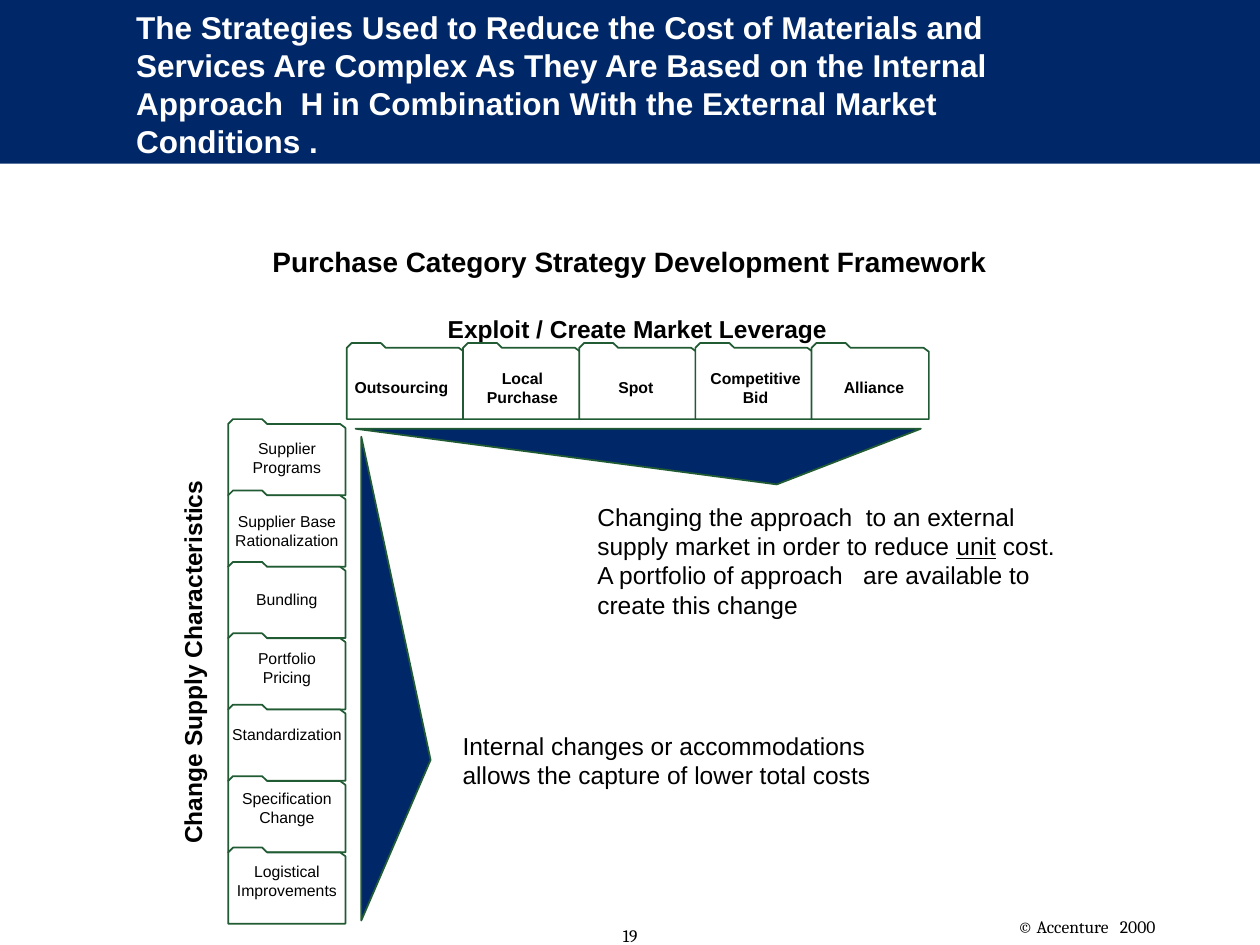
from dataclasses import dataclass

from pptx import Presentation
from pptx.dml.color import RGBColor
from pptx.enum.shapes import MSO_SHAPE
from pptx.enum.text import MSO_ANCHOR, MSO_AUTO_SIZE, PP_ALIGN
from pptx.util import Pt

RECTANGLE = MSO_SHAPE.RECTANGLE
TRIANGLE = MSO_SHAPE.ISOSCELES_TRIANGLE
LEFT, CENTER = PP_ALIGN.LEFT, PP_ALIGN.CENTER
TOP, MIDDLE = MSO_ANCHOR.TOP, MSO_ANCHOR.MIDDLE
TITLE_ONLY = 5


@dataclass(frozen=True)
class Theme:
    navy: RGBColor = RGBColor(0x00, 0x28, 0x68)
    green: RGBColor = RGBColor(0x21, 0x5B, 0x33)
    white: RGBColor = RGBColor(0xFF, 0xFF, 0xFF)
    black: RGBColor = RGBColor(0x00, 0x00, 0x00)
    sans: str = "Arial"
    serif: str = "Cambria"
    title: float = 18
    heading: float = 16
    body: float = 14
    footer: float = 10
    label: float = 9


THEME = Theme()

# Folder outline, measured from its top left corner
FOLDER = [(0, 43.5), (0, 2.8), (2.8, 0), (19.4, 0), (22.3, 2.8), (64, 2.8), (67, 5), (67, 43.5)]
MARKET_LEFT, MARKET_TOP, MARKET_STEP = 198.2, 196, 66.4
SUPPLY_LEFT, SUPPLY_TOP, SUPPLY_STEP = 130.4, 239.5, 40.8
SUPPLY_CENTER = 163.9

# Text and left edge
MARKET_LABELS = [
    ("Outsourcing", 200.9),
    ("Local Purchase", 270),
    ("Spot", 334.8),
    ("Competitive Bid", 403.2),
    ("Alliance", 470.9),
]
# Text, top, width, height, vertical inset
SUPPLY_LABELS = [
    ("Supplier Programs", 247, 74, 28, 3.6),
    ("Supplier Base Rationalization", 288.7, 74, 28, 3.6),
    ("Bundling", 333.4, 52, 17.5, 3.6),
    ("Portfolio Pricing", 370.8, 74, 21.6, 0),
    ("Standardization", 414, 90, 10.8, 0),
    ("Specification\nChange", 450.7, 74, 21.6, 0),
    ("Logistical Improvements", 492.5, 74, 21.6, 0),
]


def format_text(shape, size, color=THEME.black, font=THEME.sans, bold=False, align=LEFT,
                anchor=TOP, insets=(7.2, 3.6, 7.2, 3.6), wrap=True):
    frame = shape.text_frame
    frame.auto_size = MSO_AUTO_SIZE.NONE
    frame.word_wrap = wrap
    frame.vertical_anchor = anchor
    (frame.margin_left, frame.margin_top,
     frame.margin_right, frame.margin_bottom) = map(Pt, insets)
    for para in frame.paragraphs:
        para.alignment = align
        para.font.name = font
        para.font.size = Pt(size)
        para.font.bold = bold
        para.font.color.rgb = color


def add_text(page, bounds, spans, size, **options):
    """Add a text box; spans is a string or a list of (text, underlined)."""
    box = page.shapes.add_textbox(*map(Pt, bounds))
    if isinstance(spans, str):
        box.text_frame.text = spans
    else:
        for text, underlined in spans:
            span = box.text_frame.paragraphs[0].add_run()
            span.text = text
            if underlined:
                span.font.underline = True
    format_text(box, size, **options)
    return box


def paint(shape, fill, line=None):
    shape.shadow.inherit = False
    shape.fill.solid()
    shape.fill.fore_color.rgb = fill
    if line is None:
        shape.line.fill.background()
    else:
        shape.line.color.rgb = line
        shape.line.width = Pt(1)


def add_folder(page, left, top):
    points = [(Pt(left + x), Pt(top + y)) for x, y in FOLDER]
    builder = page.shapes.build_freeform(*points[0])
    builder.add_line_segments(points[1:], close=True)
    paint(builder.convert_to_shape(), THEME.white, THEME.green)


def add_pointer(page, bounds, rotation, apex):
    pointer = page.shapes.add_shape(TRIANGLE, *map(Pt, bounds))
    pointer.rotation = rotation
    pointer.adjustments[0] = apex
    paint(pointer, THEME.navy, THEME.green)


def add_title(page, text):
    title = page.shapes.title
    title.left, title.top, title.width, title.height = map(Pt, (77.8, 35.6, 570.2, 24.5))
    title.text_frame.text = text
    format_text(title, THEME.title, color=THEME.white, bold=True, anchor=MIDDLE,
                insets=(0, 3.6, 22, 3.6))
    # The band lies behind the title
    band = page.shapes.add_shape(RECTANGLE, 0, 0, Pt(720), Pt(93.6))
    paint(band, THEME.navy)
    title.element.addprevious(band.element)


def add_market_row(page):
    add_text(page, (248.4, 175.7, 231.8, 23.8), "Exploit / Create Market Leverage",
             THEME.body, bold=True, align=CENTER, wrap=False)
    for index, (text, left) in enumerate(MARKET_LABELS):
        add_folder(page, MARKET_LEFT + index * MARKET_STEP, MARKET_TOP)
    for text, left in MARKET_LABELS:
        add_text(page, (left, 213.9, 57, 15), text, THEME.label, bold=True,
                 align=CENTER, anchor=MIDDLE, insets=(0, 2.9, 0, 2.9))
    add_pointer(page, (203.2, 245, 323, 31.8), 180, 0.255)


def add_supply_column(page):
    heading = add_text(page, (-5, 366.5, 229.7, 23.8), "Change Supply Characteristics",
                       THEME.body, bold=True, align=CENTER, wrap=False)
    heading.rotation = 270
    for index in range(len(SUPPLY_LABELS)):
        add_folder(page, SUPPLY_LEFT, SUPPLY_TOP + index * SUPPLY_STEP)
    for text, top, width, height, inset in SUPPLY_LABELS:
        add_text(page, (SUPPLY_CENTER - width / 2, top, width, height), text,
                 THEME.label, align=CENTER, insets=(6.5, inset, 6.5, inset))
    add_pointer(page, (88, 368, 276.5, 39.6), 90, 0.668)


def add_comments(page):
    insets = (5.8, 2.9, 5.8, 2.9)
    add_text(page, (335.5, 283.7, 278, 72.7), [
        ("Changing the approach  to an external supply market in order to reduce ", False),
        ("unit", True),
        (" cost.  A portfolio of approach   are available to create this change", False),
    ], THEME.body, insets=insets)
    add_text(page, (258.5, 414.7, 278, 39.6),
             "Internal changes or accommodations allows the capture of lower total costs",
             THEME.body, insets=insets)


def add_footer(page):
    add_text(page, (326.2, 524.9, 67.7, 20.9), "19", THEME.footer,
             font=THEME.serif, align=CENTER)
    add_text(page, (574.6, 519.8, 103.7, 19.4), "© Accenture   2000", THEME.footer,
             font=THEME.serif, wrap=False)


def main():
    deck = Presentation()
    deck.slide_width, deck.slide_height = Pt(720), Pt(540)
    page = deck.slides.add_slide(deck.slide_layouts[TITLE_ONLY])

    # Header
    add_title(page, "The Strategies Used to Reduce the Cost of Materials and Services "
                    "Are Complex As They Are Based on the Internal Approach  H in "
                    "Combination With the External Market Conditions .")
    add_footer(page)

    # Framework
    add_text(page, (131.8, 136.8, 455.8, 25.2),
             "Purchase Category Strategy Development Framework", THEME.heading,
             bold=True, align=CENTER, insets=(5.8, 2.9, 5.8, 2.9), wrap=False)
    add_market_row(page)
    add_supply_column(page)
    add_comments(page)

    deck.save("out.pptx")


if __name__ == "__main__":
    main()
